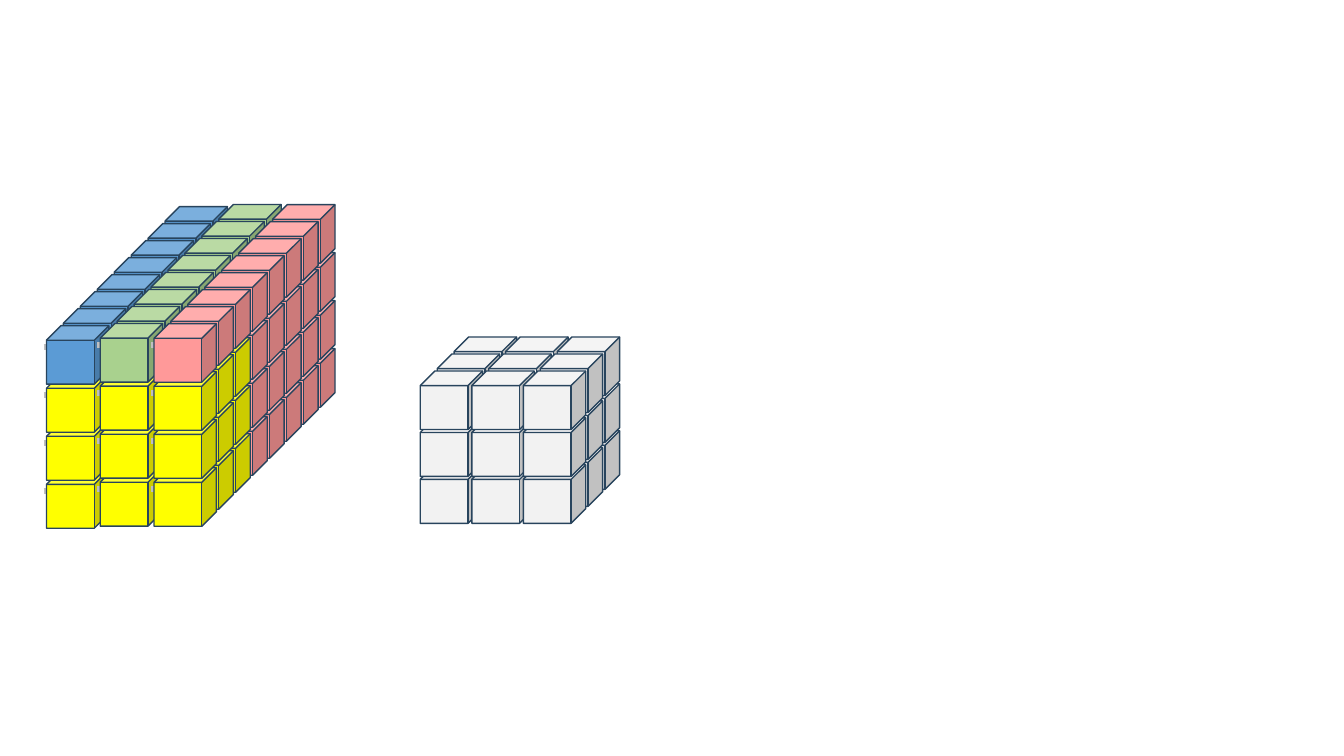
import pptx
import pptx.dml.color
import pptx.enum.shapes
import pptx.oxml
import pptx.oxml.ns
import pptx.util
from dataclasses import dataclass

Pt = pptx.util.Pt


@dataclass(frozen=True)
class Theme:
    blue: str = "5B9BD5"
    green: str = "A9D18E"
    pink: str = "FF9999"
    yellow: str = "FFFF00"
    pale: str = "F2F2F2"
    outline: str = "28445D"
    arrow: str = "BFBFBF"
    outline_width: float = 1
    arrow_width: float = 4.5


# All lengths are in points
CUBE_WIDTH, CUBE_HEIGHT = 44.6, 41.8
DEPTH_X, DEPTH_Y = 12.1, 12.15


class Painter:
    def __init__(self, page, theme):
        self.page = page
        self.theme = theme

    def group(self):
        return self.page.shapes.add_group_shape().shapes

    def cube(self, left, top, depth, fill, shapes=None):
        """Draw one cube, moved back by its depth in the block."""
        if shapes is None:
            shapes = self.page.shapes
        cube = shapes.add_shape(
            pptx.enum.shapes.MSO_SHAPE.CUBE,
            Pt(left + depth * DEPTH_X), Pt(top - depth * DEPTH_Y),
            Pt(CUBE_WIDTH), Pt(CUBE_HEIGHT))
        cube.shadow.inherit = False
        cube.fill.solid()
        cube.fill.fore_color.rgb = pptx.dml.color.RGBColor.from_string(fill)
        cube.line.color.rgb = pptx.dml.color.RGBColor.from_string(self.theme.outline)
        cube.line.width = Pt(self.theme.outline_width)

    def arrow(self, left, top, length):
        arrow = self.page.shapes.add_connector(
            pptx.enum.shapes.MSO_CONNECTOR.STRAIGHT,
            Pt(left), Pt(top), Pt(left + length), Pt(top))
        arrow.line.color.rgb = pptx.dml.color.RGBColor.from_string(self.theme.arrow)
        arrow.line.width = Pt(self.theme.arrow_width)
        head = pptx.oxml.parse_xml(
            f'<a:tailEnd {pptx.oxml.ns.nsdecls("a")} type="triangle"/>')
        arrow.line._get_or_add_ln().append(head)
        no_shadow = pptx.oxml.parse_xml(f'<a:effectLst {pptx.oxml.ns.nsdecls("a")}/>')
        arrow._element.spPr.append(no_shadow)


def draw_input_volume(painter):
    theme = painter.theme
    layers, column_step, row_step = 8, 38.4, 34.3
    # Colour, top of the column, and yellow cubes per row from top to bottom
    channels = [
        (theme.blue, 232.6, (0, 2, 4, 7)),
        (theme.green, 231.1, (0, 2, 4, 7)),
        (theme.pink, 231.2, (0, 3, 3, 3)),
    ]
    for column, (color, column_top, yellow_counts) in enumerate(channels):
        left = 33.2 + column * column_step
        for row, yellow_count in reversed(list(enumerate(yellow_counts))):
            top = column_top + row * row_step
            painter.arrow(left - 2.1, top + 15.1, 35.6)
            for depth in reversed(range(layers)):
                fill = theme.yellow if depth < yellow_count else color
                painter.cube(left, top, depth, fill)


def draw_kernel(painter):
    size, column_step, row_step = 3, 36.8, 33.5
    kernel = painter.group()
    for depth in reversed(range(size)):
        for column in range(size):
            for row in reversed(range(size)):
                painter.cube(300.2 + column * column_step, 265 + row * row_step,
                             depth, painter.theme.pale, kernel)


def main():
    deck = pptx.Presentation()
    deck.slide_width, deck.slide_height = Pt(960), Pt(540)
    page = deck.slides.add_slide(deck.slide_layouts[6])
    painter = Painter(page, Theme())
    # Coloured block on the left, pale kernel beside it
    draw_input_volume(painter)
    draw_kernel(painter)
    deck.save("out.pptx")


if __name__ == "__main__":
    main()
